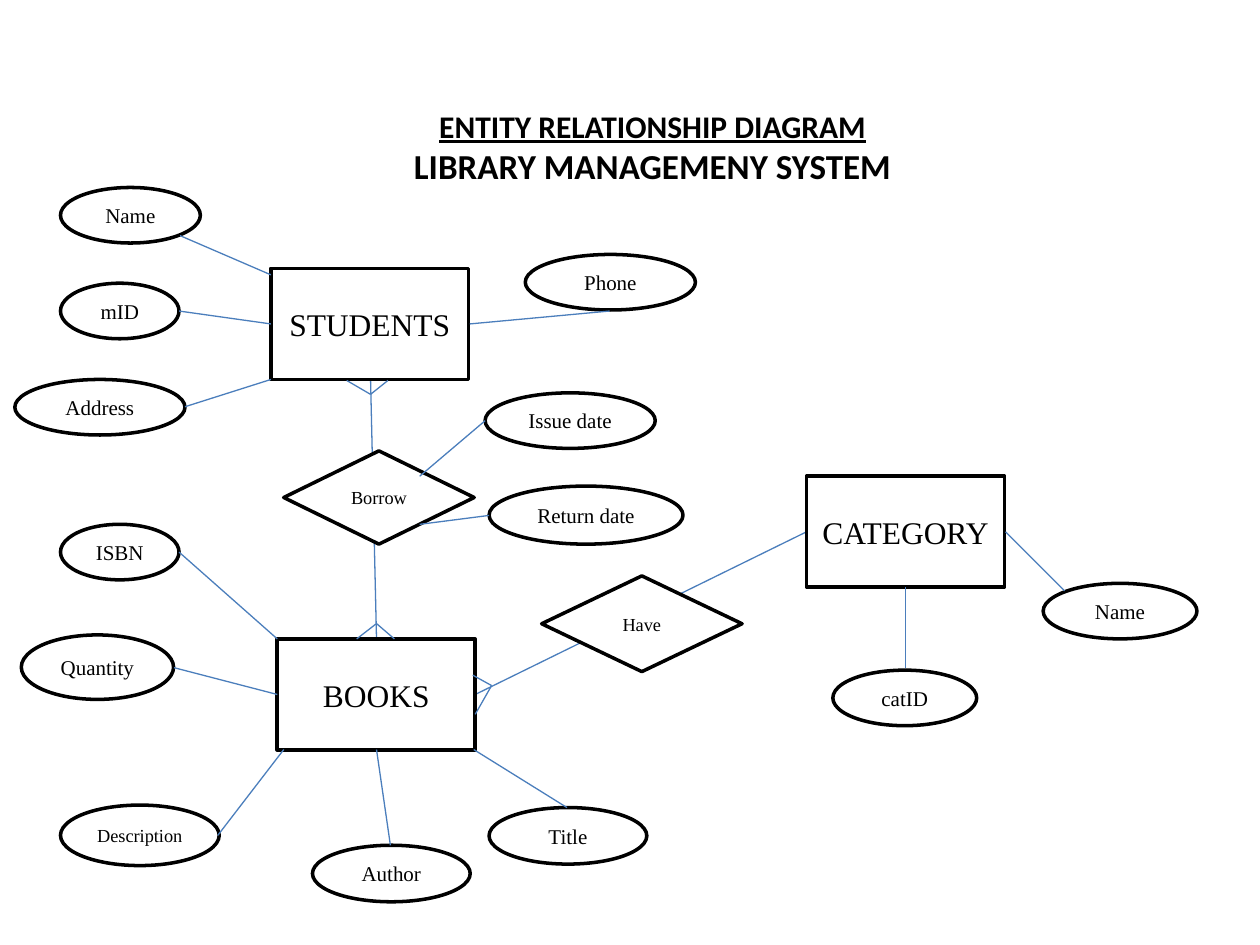
import pptx
import pptx.util
import pptx.dml.color
import pptx.enum.shapes
import pptx.enum.text
import pptx.oxml
from dataclasses import dataclass

Cm, Pt = pptx.util.Cm, pptx.util.Pt
RGB = pptx.dml.color.RGBColor
SHAPE = pptx.enum.shapes.MSO_SHAPE
CENTER = pptx.enum.text.PP_ALIGN.CENTER
ANCHOR = pptx.enum.text.MSO_ANCHOR


@dataclass(frozen=True)
class Theme:
    ink: RGB = RGB(0, 0, 0)
    paper: RGB = RGB(0xFF, 0xFF, 0xFF)
    link: RGB = RGB(0x4B, 0x7E, 0xBC)
    heading_font: str = "Calibri"
    node_font: str = "Times New Roman"
    heading: float = 18
    subject: float = 20
    entity: float = 18
    attribute: float = 12
    small: float = 10.5
    outline: float = 2
    link_width: float = 0.75


THEME = Theme()

# Lengths are in centimetres
ENTITY_SIZE = (3.99, 2.24)
ENTITIES = [("STUDENTS", 5.46, 5.41), ("BOOKS", 5.59, 12.88), ("CATEGORY", 16.26, 9.6)]

# Label, box, type size
RELATIONSHIPS = [
    ("Have", (10.92, 11.61, 4.04, 1.93)),
    ("Borrow", (5.72, 9.09, 3.84, 1.88)),
]

# Label, box, link from the attribute to its owner
ATTRIBUTES = [
    ("Name", (1.22, 3.78, 2.82, 1.12), (3.63, 4.75, 5.46, 5.54)),
    ("mID", (1.22, 5.71, 2.39, 1.12), (3.61, 6.27, 5.46, 6.53)),
    ("Address", (0.3, 7.65, 3.43, 1.12), (3.73, 8.2, 5.46, 7.65)),
    ("Phone", (10.59, 5.13, 3.43, 1.12), (12.29, 6.27, 9.47, 6.53)),
    ("Issue date", (9.78, 7.92, 3.43, 1.12), (9.78, 8.48, 8.46, 9.6)),
    ("Return date", (9.86, 9.8, 3.91, 1.17), (9.86, 10.39, 8.46, 10.57)),
    ("ISBN", (1.22, 10.57, 2.39, 1.12), (3.61, 11.13, 5.59, 12.88)),
    ("Quantity", (0.43, 12.8, 3.07, 1.3), (3.51, 13.46, 5.59, 14)),
    ("Description", (1.22, 16.23, 3.2, 1.22), (4.39, 16.84, 5.72, 15.11)),
    ("Author", (6.3, 17.04, 3.18, 1.14), (7.87, 17.04, 7.59, 15.11)),
    ("Title", (9.86, 16.28, 3.18, 1.14), (11.43, 16.28, 9.55, 15.11)),
    ("catID", (16.79, 13.51, 2.9, 1.12), (18.26, 13.46, 18.26, 11.84)),
    ("Name", (21.03, 11.76, 3.1, 1.12), (21.46, 11.91, 20.27, 10.72)),
]

# Entity-to-entity lines, and crow's feet as a point with two toes
RELATION_LINES = [(7.47, 7.65, 7.59, 12.88), (9.58, 14, 16.26, 10.72)]
CROWS_FEET = [
    ((7.47, 7.95), (6.99, 7.67), (7.82, 7.67)),
    ((7.59, 12.57), (7.19, 12.88), (7.95, 12.88)),
    ((9.91, 13.82), (9.53, 13.61), (9.58, 14.4)),
]


def set_font(paragraph, name, size):
    paragraph.alignment = CENTER
    paragraph.font.name = name
    paragraph.font.size = Pt(size)
    paragraph.font.color.rgb = THEME.ink


def add_heading(slide):
    heading = slide.shapes.title
    heading.left, heading.top, heading.width, heading.height = map(Cm, (8.05, 2.03, 10.21, 1.88))
    frame = heading.text_frame
    frame.text = "ENTITY RELATIONSHIP DIAGRAM\nLIBRARY MANAGEMENY SYSTEM"
    frame.word_wrap = False
    frame.auto_size = pptx.enum.text.MSO_AUTO_SIZE.NONE
    frame.vertical_anchor = ANCHOR.TOP
    for paragraph, size in zip(frame.paragraphs, (THEME.heading, THEME.subject)):
        set_font(paragraph, THEME.heading_font, size)
        paragraph.font.bold = True
    frame.paragraphs[0].font.underline = True


def add_node(slide, outline, label, box, size):
    node = slide.shapes.add_shape(outline, *map(Cm, box))
    node.shadow.inherit = False
    node.fill.solid()
    node.fill.fore_color.rgb = THEME.paper
    node.line.color.rgb = THEME.ink
    node.line.width = Pt(THEME.outline)
    frame = node.text_frame
    frame.text = label
    frame.word_wrap = False
    frame.vertical_anchor = ANCHOR.MIDDLE
    set_font(frame.paragraphs[0], THEME.node_font, size)


def add_link(slide, ends):
    link = slide.shapes.add_connector(pptx.enum.shapes.MSO_CONNECTOR.STRAIGHT, *map(Cm, ends))
    link.line.color.rgb = THEME.link
    link.line.width = Pt(THEME.link_width)
    properties = link._element.spPr
    properties.append(pptx.oxml.parse_xml(
        '<a:effectLst xmlns:a="http://schemas.openxmlformats.org/drawingml/2006/main"/>'))


def main():
    deck = pptx.Presentation()
    deck.slide_width, deck.slide_height = Cm(25.4), Cm(19.05)
    slide = deck.slides.add_slide(deck.slide_layouts[5])
    add_heading(slide)

    # Relation lines lie behind the diamonds
    for ends in RELATION_LINES:
        add_link(slide, ends)

    # Entities and relationships
    for label, left, top in ENTITIES:
        add_node(slide, SHAPE.RECTANGLE, label, (left, top, *ENTITY_SIZE), THEME.entity)
    for label, box in RELATIONSHIPS:
        add_node(slide, SHAPE.DIAMOND, label, box, THEME.small)

    # Attributes with their links
    for label, box, ends in ATTRIBUTES:
        size = THEME.small if label == "Description" else THEME.attribute
        add_node(slide, SHAPE.OVAL, label, box, size)
        add_link(slide, ends)

    # Crow's feet
    for point, *toes in CROWS_FEET:
        for toe in toes:
            add_link(slide, (*point, *toe))

    deck.save("out.pptx")


main()
